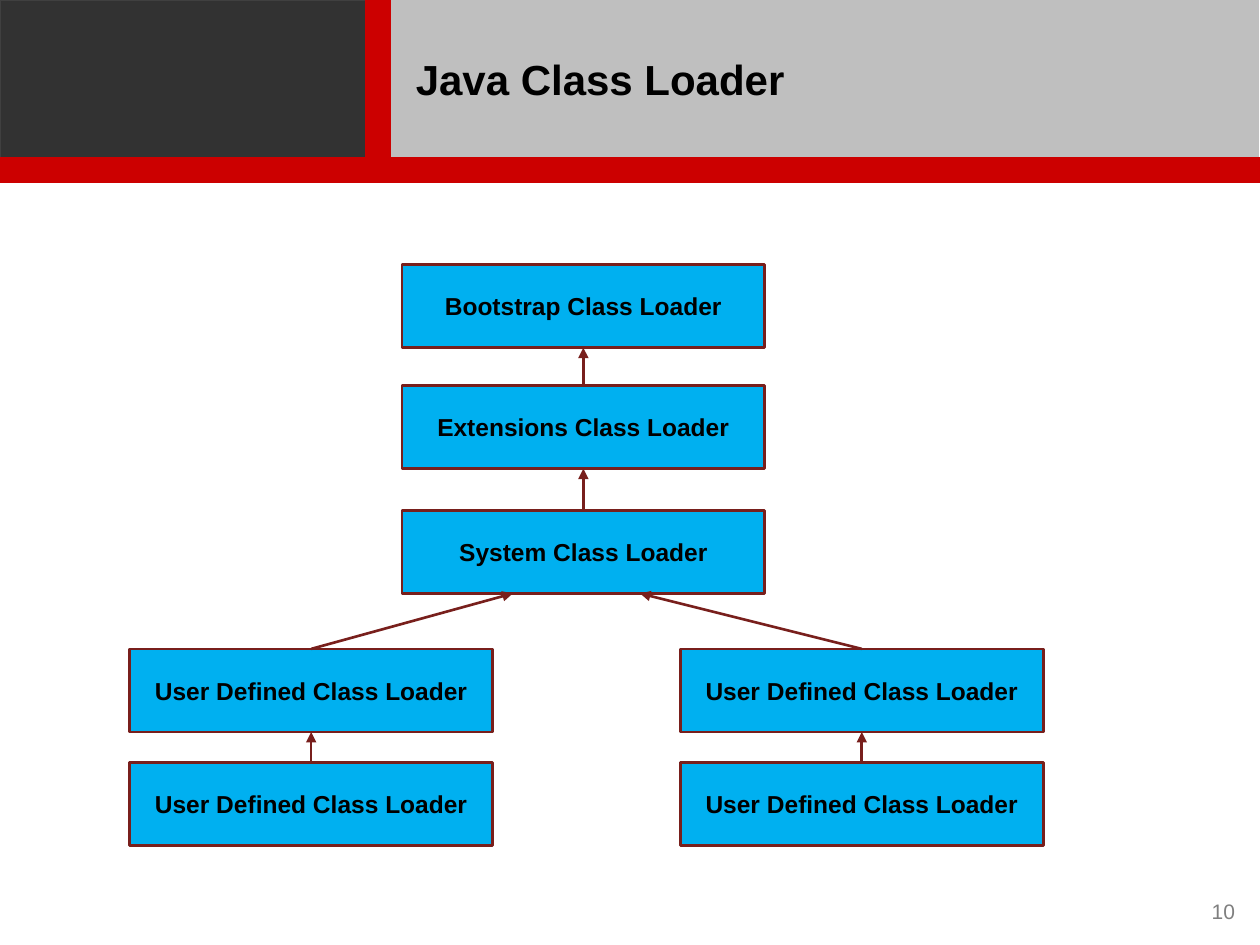
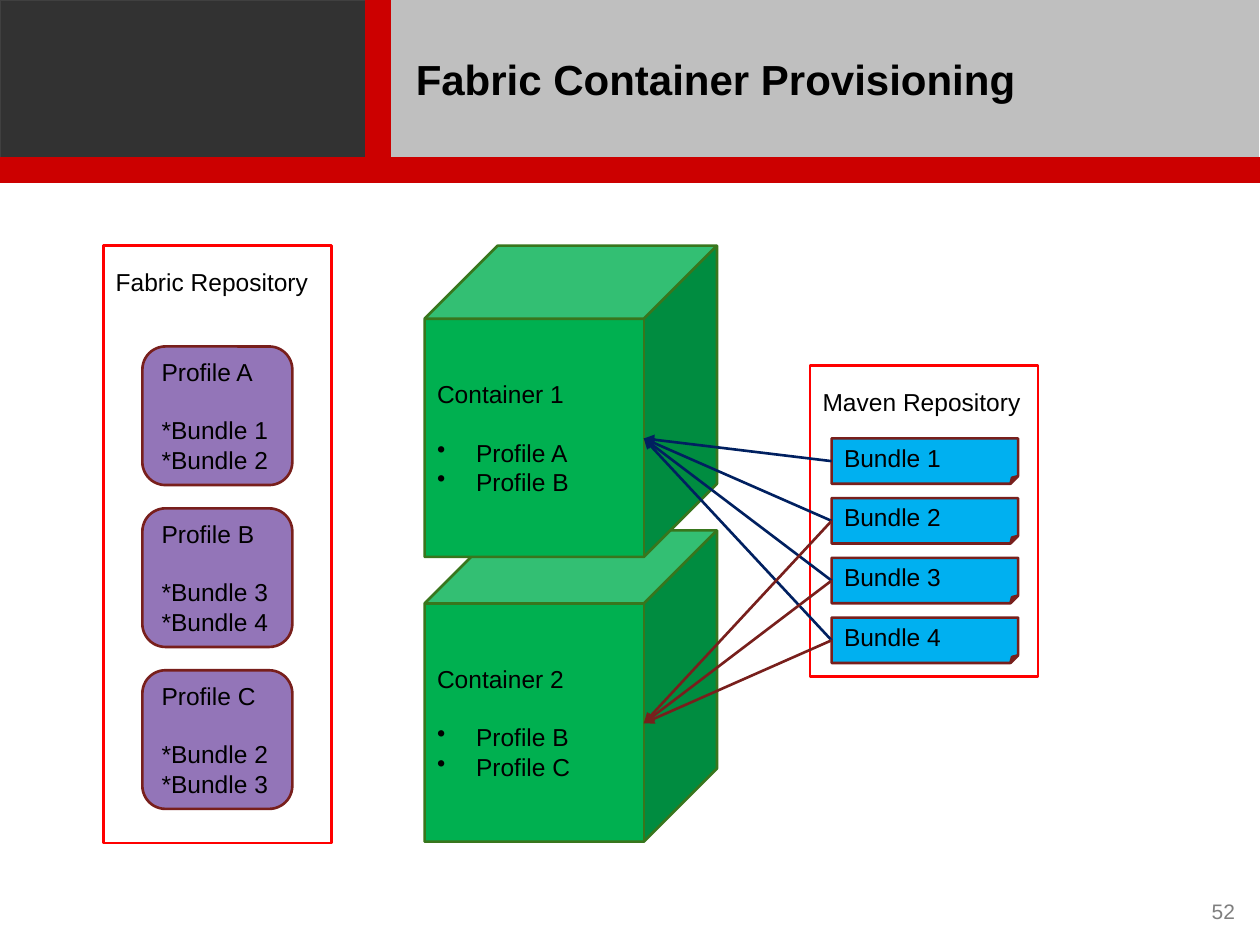
from pptx import Presentation
from pptx.dml.color import RGBColor
from pptx.enum.shapes import MSO_CONNECTOR as Link, MSO_SHAPE as Form
from pptx.enum.text import MSO_ANCHOR as Anchor, PP_ALIGN as Align
from pptx.oxml.ns import qn
from pptx.util import Inches, Pt
from lxml.etree import SubElement as Sub

BLACK = RGBColor(0x00, 0x00, 0x00)
GRAY = RGBColor(0x7F, 0x7F, 0x7F)
SILVER = RGBColor(0xBF, 0xBF, 0xBF)
COAL = RGBColor(0x32, 0x32, 0x32)
EDGE = RGBColor(0x40, 0x40, 0x40)
BRAND = RGBColor(0xCC, 0x00, 0x00)
RED = RGBColor(0xFF, 0x00, 0x00)
BLUE = RGBColor(0x00, 0xB0, 0xF0)
NAVY = RGBColor(0x00, 0x20, 0x60)
WINE = RGBColor(0x78, 0x1F, 0x1C)
PLUM = RGBColor(0x93, 0x75, 0xB8)
GREEN = RGBColor(0x00, 0xB0, 0x50)
MOSS = RGBColor(0x38, 0x76, 0x1D)

# The grid has 100 columns and 75 rows of square cells.
CELL = Inches(0.1)
COLS, ROWS = 100, 75

deck = Presentation()
deck.slide_width, deck.slide_height = COLS * CELL, ROWS * CELL


def box(slide, text, x, y, w, h, form=Form.RECTANGLE, fill=None, line=None,
        width=1.5, size=14, bold=False, color=BLACK, align=Align.LEFT,
        anchor=Anchor.MIDDLE, side=1, top=1, gap=0):
    """Draw a shape at grid cells; lines of text that start with • are bullets."""
    shape = slide.shapes.add_shape(
        form, *(int(n * CELL) for n in (x, y, w, h)))
    shape.shadow.inherit = False
    if fill is None:
        shape.fill.background()
    else:
        shape.fill.solid()
        shape.fill.fore_color.rgb = fill
    if line is None:
        shape.line.fill.background()
    else:
        shape.line.color.rgb = line
        shape.line.width = Pt(width)
    frame = shape.text_frame
    frame.word_wrap = True
    frame.vertical_anchor = anchor
    frame.margin_left = frame.margin_right = int(side * CELL)
    frame.margin_top, frame.margin_bottom = int(top * CELL), CELL
    for i, row in enumerate(text.split("\n")):
        para = frame.add_paragraph() if i else frame.paragraphs[0]
        para.alignment = align
        if i == 0 and gap:
            para.space_after = Pt(gap)
        if row.startswith("•"):
            props = para._p.get_or_add_pPr()
            props.set("marL", str(int(3.1 * CELL)))
            props.set("indent", str(int(-3.1 * CELL)))
            Sub(props, qn("a:buChar")).set("char", "•")
        run = para.add_run()
        run.text = row.lstrip("•")
        font = run.font
        font.name, font.size, font.bold = "Arial", Pt(size), bold
        font.color.rgb = color
    return shape


def arrow(slide, start, end, color=WINE):
    """Draw an arrow between two grid points."""
    link = slide.shapes.add_connector(
        Link.STRAIGHT, *(int(n * CELL) for n in (*start, *end)))
    link.line.color.rgb = color
    link.line.width = Pt(1.5)
    Sub(link.line._get_or_add_ln(), qn("a:tailEnd")).set("type", "triangle")
    Sub(link._element.spPr, qn("a:effectLst"))


# Shared header, title and page number
BANDS = [
    (30.9, 0, 69, 12.5, SILVER, SILVER),
    (0, 0, 29, 12.5, COAL, EDGE),
    (0, 12.5, COLS, 2, BRAND, BRAND),
    (29, 0, 2, 12.5, BRAND, BRAND),
]
pages = []
for title, number in [("Java Class Loader", "10"),
                      ("Fabric Container Provisioning", "52")]:
    page = deck.slides.add_slide(deck.slide_layouts[6])
    for x, y, w, h, fill, line in BANDS:
        box(page, "", x, y, w, h, fill=fill, line=line, width=0.75)
    box(page, title, 31, 0, 69, 12.5, size=24, bold=True, side=2)
    box(page, number, 87.8, 71.1, 11.2, 3, size=12, color=GRAY,
        align=Align.RIGHT, top=0.5)
    pages.append(page)
tree, fabric = pages

# Class loader tree
WIDE, TALL = 28.8, 6.6
MID, LEFT, RIGHT = 31.9, 10.3, 54
LOADERS = [
    ("Bootstrap", MID, 21), ("Extensions", MID, 30.6), ("System", MID, 40.5),
    ("User Defined", LEFT, 51.5), ("User Defined", LEFT, 60.5),
    ("User Defined", RIGHT, 51.5), ("User Defined", RIGHT, 60.5),
]
for name, x, y in LOADERS:
    box(tree, f"{name} Class Loader", x, y, WIDE, TALL, fill=BLUE, line=WINE,
        bold=True, align=Align.CENTER)
for (_, x, y), (_, low_x, low_y) in zip(LOADERS, LOADERS[1:]):
    if x == low_x:
        mid = x + WIDE / 2
        arrow(tree, (mid, low_y), (mid, y + TALL))
for x, end in [(LEFT, 40.7), (RIGHT, 50.8)]:
    arrow(tree, (x + WIDE / 2, 51.5), (end, 40.5 + TALL))

# Repositories
for name, x, y, h in [("Fabric", 8.2, 19.5, 47.4), ("Maven", 64.3, 29, 24.7)]:
    box(fabric, f"{name} Repository", x, y, 18.1, h, line=RED,
        anchor=Anchor.TOP, top=1.7)

# Profiles and the bundles they hold
for i, (name, *held) in enumerate(["A12", "B34", "C23"]):
    rows = [f"Profile {name}"] + [f"*Bundle {n}" for n in held]
    box(fabric, "\n".join(rows), 11.3, 27.5 + 12.85 * i, 11.9, 11,
        form=Form.ROUNDED_RECTANGLE, fill=PLUM, line=WINE, gap=16.5)

# Containers, the lower one behind the upper one
for number, names, y in [(2, "BC", 42.1), (1, "AB", 19.5)]:
    rows = [f"Container {number}"] + [f"•Profile {n}" for n in names]
    box(fabric, "\n".join(rows), 33.7, y, 23.2, 24.7, form=Form.CUBE,
        fill=GREEN, line=MOSS, gap=16.5)

# Bundles, then the arrows to the containers that use them
STEP = 4.74
for i in range(4):
    box(fabric, f"Bundle {i + 1}", 66, 34.8 + STEP * i, 14.8, 3.6,
        form=Form.FOLDED_CORNER, fill=BLUE, line=WINE)
for first, y, color in [(0, 34.8, NAVY), (1, 57.4, WINE)]:
    for i in range(first, 4):
        arrow(fabric, (66, 36.6 + STEP * i), (51.1, y), color)

deck.save("out.pptx")
